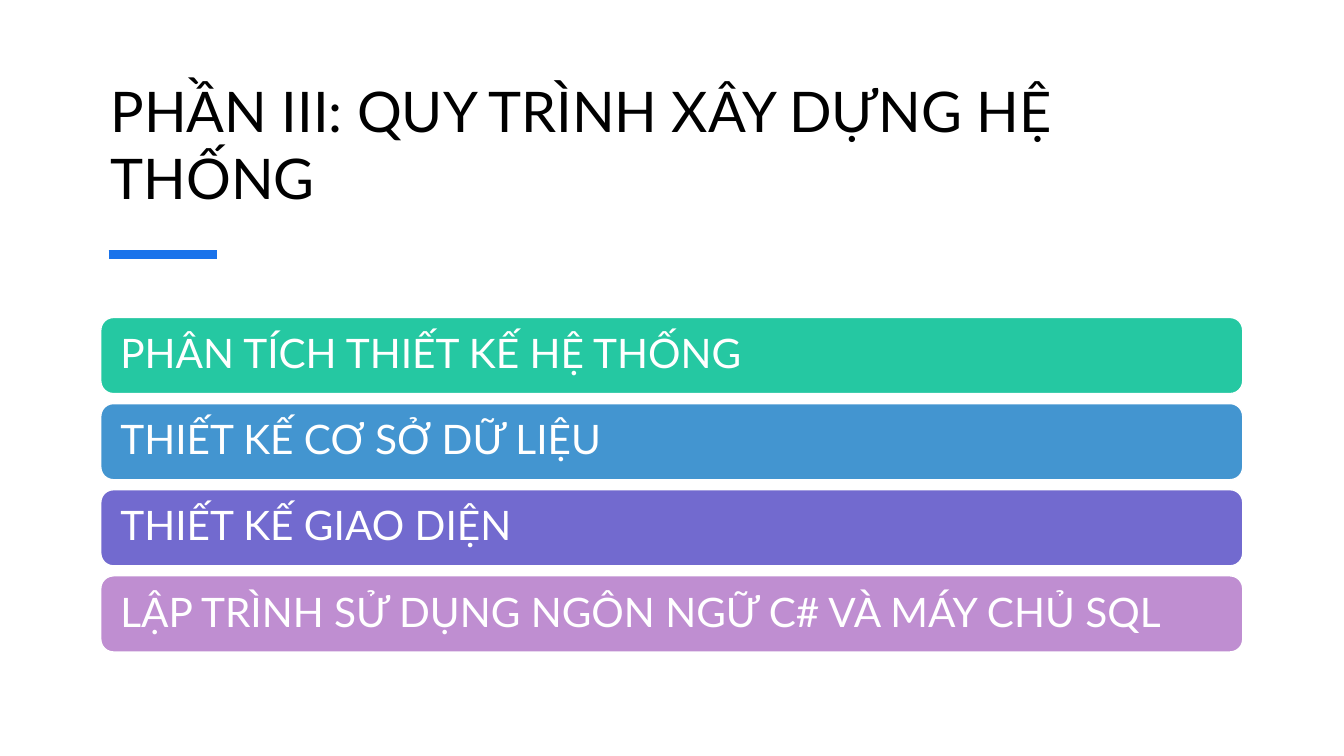
from dataclasses import dataclass

from lxml import etree
from pptx import Presentation
from pptx.dml.color import RGBColor
from pptx.enum.shapes import MSO_CONNECTOR, MSO_SHAPE
from pptx.enum.text import MSO_ANCHOR, PP_ALIGN
from pptx.oxml.ns import qn
from pptx.slide import Slide
from pptx.text.text import TextFrame
from pptx.util import Cm, Pt

STRAIGHT = MSO_CONNECTOR.STRAIGHT
ROUNDED = MSO_SHAPE.ROUNDED_RECTANGLE
MIDDLE = MSO_ANCHOR.MIDDLE
BOTTOM = MSO_ANCHOR.BOTTOM
LEFT = PP_ALIGN.LEFT

FONT = "Lato"
WHITE = "FFFFFF"
BLACK = "000000"
ACCENT = "1973EB"

BAR_LEFT = 2.54
BAR_TOP = 8.0
BAR_WIDTH = 28.78
BAR_HEIGHT = 1.92
BAR_PITCH = 2.17

TITLE_FRAME = {"word_wrap": True, "vertical_anchor": BOTTOM}
BAR_FRAME = {
    "word_wrap": True,
    "vertical_anchor": MIDDLE,
    "margin_left": Cm(0.4),
    "margin_right": Cm(0.4),
    "margin_top": Cm(0.3),
    "margin_bottom": Cm(0.3),
}


@dataclass(frozen=True)
class TopicBar:
    text: str
    fill: str


TOPICS = [
    TopicBar("PHÂN TÍCH THIẾT KẾ HỆ THỐNG", "25C8A2"),
    TopicBar("THIẾT KẾ CƠ SỞ DỮ LIỆU", "4395D0"),
    TopicBar("THIẾT KẾ GIAO DIỆN", "726ACF"),
    TopicBar("LẬP TRÌNH SỬ DỤNG NGÔN NGỮ C# VÀ MÁY CHỦ SQL", "BF8ED1"),
]


def color(value: str) -> RGBColor:
    return RGBColor.from_string(value)


def apply_format(target: object, values: dict) -> None:
    for name, value in values.items():
        setattr(target, name, value)


def write_text(frame: TextFrame, text: str, size: float, text_color: str,
               frame_format: dict, line_spacing: float) -> None:
    apply_format(frame, frame_format)
    paragraph = frame.paragraphs[0]
    apply_format(paragraph, {"alignment": LEFT, "line_spacing": line_spacing})
    run = paragraph.add_run()
    run.text = text
    apply_format(run.font, {"name": FONT, "size": Pt(size)})
    run.font.color.rgb = color(text_color)


def add_title(slide: Slide, text: str) -> None:
    shape = slide.shapes.add_textbox(Cm(2.54), Cm(1.57), Cm(28.1), Cm(3.86))
    write_text(shape.text_frame, text, 40, BLACK, TITLE_FRAME, 1.0)


def add_accent_line(slide: Slide) -> None:
    connector = slide.shapes.add_connector(
        STRAIGHT, Cm(2.74), Cm(6.41), Cm(5.46), Cm(6.41))
    connector.line.width = Pt(6)
    connector.line.color.rgb = color(ACCENT)
    properties = connector._element.find(qn("p:spPr"))
    etree.SubElement(properties, qn("a:effectLst"))


def add_topic_bar(slide: Slide, topic: TopicBar, index: int) -> None:
    shape = slide.shapes.add_shape(
        ROUNDED, Cm(BAR_LEFT), Cm(BAR_TOP + index * BAR_PITCH),
        Cm(BAR_WIDTH), Cm(BAR_HEIGHT))
    shape.shadow.inherit = False
    shape.fill.solid()
    shape.fill.fore_color.rgb = color(topic.fill)
    shape.line.width = Pt(1)
    shape.line.color.rgb = color(WHITE)
    write_text(shape.text_frame, topic.text, 29, WHITE, BAR_FRAME, 0.9)


def main() -> None:
    presentation = Presentation()
    apply_format(presentation, {"slide_width": Cm(33.87), "slide_height": Cm(19.05)})
    slide = presentation.slides.add_slide(presentation.slide_layouts[6])
    add_title(slide, "PHẦN III: QUY TRÌNH XÂY DỰNG HỆ THỐNG")
    add_accent_line(slide)
    for index, topic in enumerate(TOPICS):
        add_topic_bar(slide, topic, index)
    presentation.save("out.pptx")


if __name__ == "__main__":
    main()
